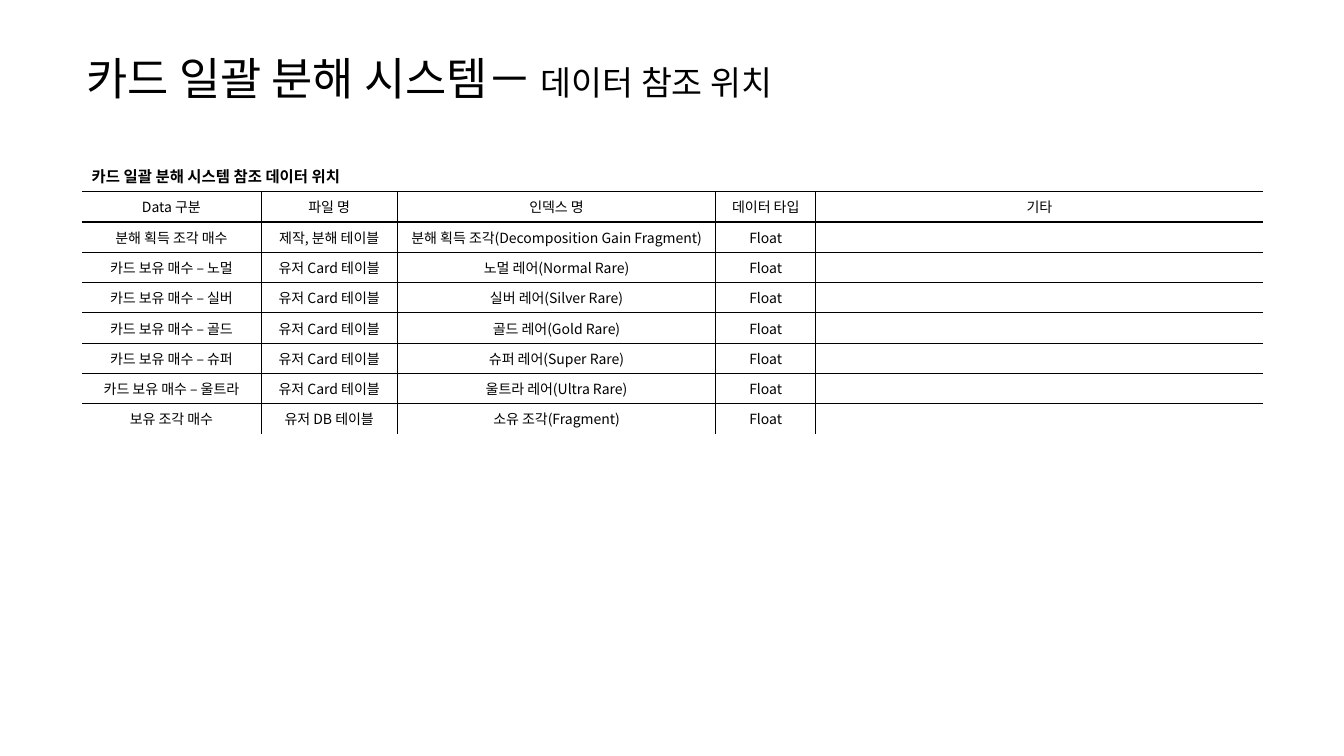
from lxml.etree import SubElement
from pptx import Presentation
from pptx.dml.color import RGBColor
from pptx.enum.text import MSO_ANCHOR as ANCHOR, MSO_AUTO_SIZE as AUTO, PP_ALIGN as ALIGN
from pptx.oxml.ns import qn
from pptx.util import Inches, Pt

FONT = "Noto Sans CJK KR"
COLORS = {"ink": "000000"}
NO_STYLE = "{2D5ABB26-0587-4C30-8999-92F81FD0307C}"
COL_WIDTHS = [1.78, 1.35, 3.16, 0.99, 4.44]
CAPTION_HEIGHT, ROW_HEIGHT = 0.32, 0.3

CAPTION = "카드 일괄 분해 시스템 참조 데이터 위치"
HEADER = ["Data 구분", "파일 명", "인덱스 명", "데이터 타입", "기타"]
GRADES = [("노멀", "Normal"), ("실버", "Silver"), ("골드", "Gold"),
          ("슈퍼", "Super"), ("울트라", "Ultra")]
ROWS = [
    HEADER,
    ["분해 획득 조각 매수", "제작, 분해 테이블",
     "분해 획득 조각(Decomposition Gain Fragment)", "Float", ""],
    *[[f"카드 보유 매수 – {ko}", "유저 Card 테이블", f"{ko} 레어({en} Rare)", "Float", ""]
      for ko, en in GRADES],
    ["보유 조각 매수", "유저 DB 테이블", "소유 조각(Fragment)", "Float", ""],
]


def add_text(p, text, size=10, bold=False, color="ink", align=ALIGN.LEFT):
    p.alignment = align
    if not text:
        # An empty cell still needs its text size to keep the row low
        SubElement(p._p, qn("a:endParaRPr"), sz=str(size * 100))
        return
    r = p.add_run()
    r.text = text
    r.font.name, r.font.size, r.font.bold = FONT, Pt(size), bold
    r.font.color.rgb = RGBColor.from_string(COLORS[color])
    SubElement(r._r.get_or_add_rPr(), qn("a:ea"), typeface=FONT)


def add_borders(cell, sides, color="ink"):
    tc_pr = cell._tc.get_or_add_tcPr()
    for side in sides:
        ln = SubElement(tc_pr, qn(f"a:ln{side}"), w=str(Pt(1)))
        fill = SubElement(ln, qn("a:solidFill"))
        SubElement(fill, qn("a:srgbClr"), val=COLORS[color])


def inner_sides(row, col, last_row, last_col):
    """Sides that touch another cell, in the order L, R, T, B."""
    if row == 0:
        return "B"
    tests = {"L": col > 0, "R": col < last_col, "T": True, "B": row < last_row}
    return [side for side, shown in tests.items() if shown]


def add_title(s):
    title = s.shapes.title
    title.left, title.top = Inches(0.76), Inches(0.42)
    title.width, title.height = Inches(11.81), Inches(0.69)
    tf = title.text_frame
    tf.word_wrap, tf.auto_size = True, AUTO.NONE
    tf.vertical_anchor = ANCHOR.MIDDLE
    p = tf.paragraphs[0]
    add_text(p, "카드 일괄 분해 시스템－", size=32)
    add_text(p, " 데이터 참조 위치", size=24)


def add_reference_table(s):
    last_row, last_col = len(ROWS), len(HEADER) - 1
    height = CAPTION_HEIGHT + ROW_HEIGHT * last_row
    frame = s.shapes.add_table(last_row + 1, last_col + 1, Inches(0.81), Inches(1.58),
                               Inches(sum(COL_WIDTHS)), Inches(height))
    table = frame.table
    table.first_row = table.horz_banding = False
    table._tbl.tblPr.find(qn("a:tableStyleId")).text = NO_STYLE
    for column, width in zip(table.columns, COL_WIDTHS):
        column.width = Inches(width)
    for i, row in enumerate(table.rows):
        row.height = Inches(ROW_HEIGHT if i else CAPTION_HEIGHT)
        for j, cell in enumerate(row.cells):
            add_borders(cell, inner_sides(i, j, last_row, last_col))
            cell.fill.background()
            if i:
                cell.vertical_anchor = ANCHOR.MIDDLE
                add_text(cell.text_frame.paragraphs[0], ROWS[i - 1][j], align=ALIGN.CENTER)

    # Caption across the full width
    caption = table.cell(0, 0)
    caption.merge(table.cell(0, last_col))
    add_text(caption.text_frame.paragraphs[0], CAPTION, size=11, bold=True)


def main():
    prs = Presentation()
    prs.slide_width, prs.slide_height = Inches(13.33), Inches(7.5)
    s = prs.slides.add_slide(prs.slide_layouts[5])
    add_title(s)
    add_reference_table(s)
    prs.save("out.pptx")


if __name__ == "__main__":
    main()
